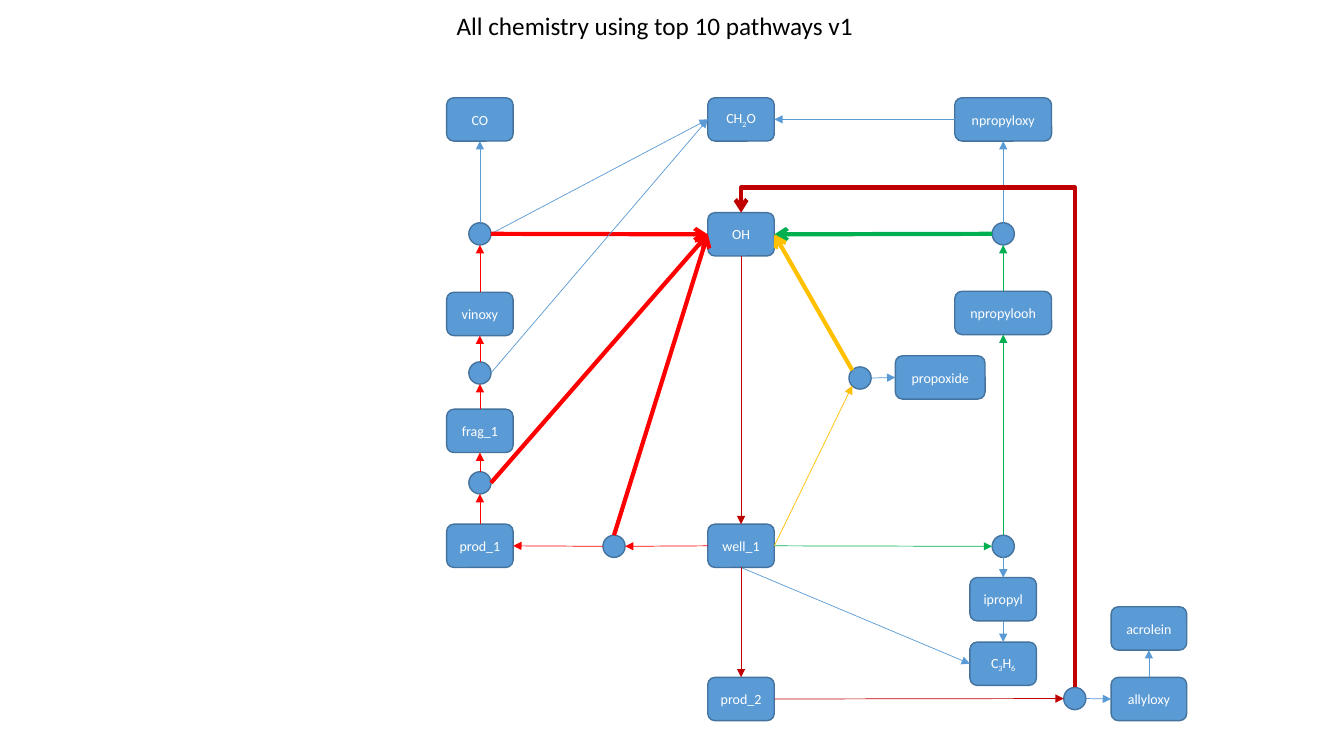
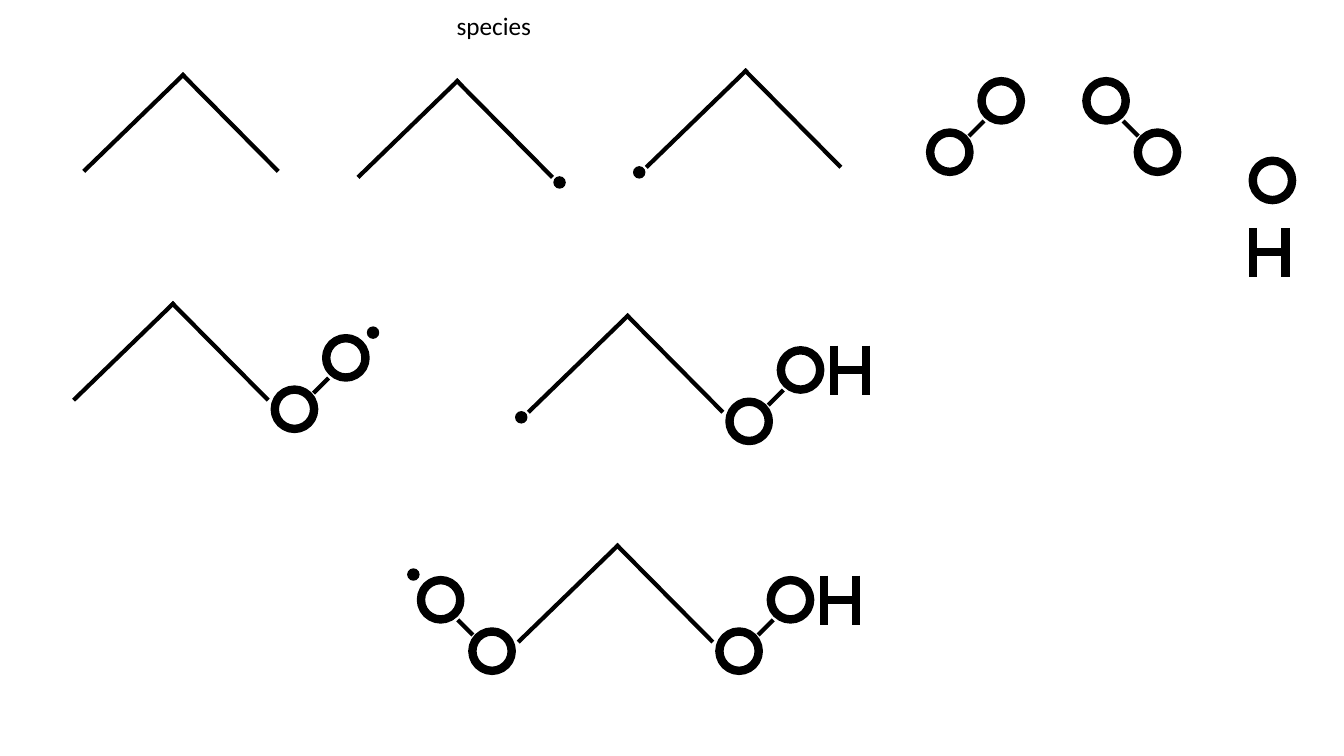
from lxml.etree import SubElement
from pptx import Presentation
from pptx.dml.color import RGBColor
from pptx.enum.shapes import MSO_CONNECTOR as LINK, MSO_SHAPE as SHAPE
from pptx.enum.text import MSO_ANCHOR, MSO_AUTO_SIZE, PP_ALIGN
from pptx.oxml.ns import qn
from pptx.util import Inches, Pt

BLUE, EDGE, WHITE, BLACK = "5B9BD5", "43739E", "FFFFFF", "000000"
RED, DARK_RED, GREEN, GOLD = "FF0000", "C00000", "00B050", "FFC000"
THIN, BOLD = 0.5, 3
BOX_HEIGHT, JUNCTION = 0.43, 0.22
OXYGEN, RADICAL = 0.39, 0.11

TITLE_FRAME = {"word_wrap": False, "auto_size": MSO_AUTO_SIZE.SHAPE_TO_FIT_TEXT}
LABEL_FRAME = {"word_wrap": True, "vertical_anchor": MSO_ANCHOR.MIDDLE,
               "margin_left": 0, "margin_right": 0}
TITLE_FONT = {"name": "Calibri", "size": Pt(18)}
LABEL_FONT = {"name": "Calibri", "size": Pt(10)}

# Side: x and y share of the shape, connection site on a box and on a junction
SIDES = {
    "top": (0.5, 0, 0, 0), "left": (0, 0.5, 1, 2),
    "bottom": (0.5, 1, 2, 4), "right": (1, 0.5, 3, 6),
    "upper left": (0.15, 0.15, None, 1), "lower left": (0.15, 0.85, None, 3),
}

# Species: left, top, width, label (subscripts between tildes)
SPECIES = {
    "prod_1": (4.43, 5.2, 0.66, "prod_1"),
    "frag_1": (4.43, 4.06, 0.66, "frag_1"),
    "vinoxy": (4.43, 2.9, 0.66, "vinoxy"),
    "CO": (4.43, 0.97, 0.66, "CO"),
    "CH2O": (7.02, 0.97, 0.66, "CH~2~O"),
    "OH": (7.02, 2.11, 0.66, "OH"),
    "well_1": (7.02, 5.2, 0.66, "well_1"),
    "prod_2": (7.02, 6.72, 0.66, "prod_2"),
    "ipropyl": (9.62, 5.73, 0.66, "ipropyl"),
    "C3H6": (9.62, 6.37, 0.66, "C~3~H~6~"),
    "propoxide": (8.88, 3.53, 0.89, "propoxide"),
    "npropylooh": (9.47, 2.89, 0.96, "npropylooh"),
    "npropyloxy": (9.47, 0.97, 0.96, "npropyloxy"),
    "allyloxy": (11.02, 6.72, 0.75, "allyloxy"),
    "acrolein": (11.02, 6.02, 0.75, "acrolein"),
}

JUNCTIONS = {
    "vinoxy split": (4.65, 2.21), "frag_1 split": (4.65, 3.59),
    "prod_1 split": (4.65, 4.68), "well_1 split": (5.98, 5.31),
    "propyl split": (9.84, 5.31), "propoxide split": (8.42, 3.64),
    "prod_2 split": (10.55, 6.82), "npropylooh split": (9.84, 2.21),
}

REACTIONS = [
    ("OH", "bottom", "well_1", "top", DARK_RED, THIN),
    ("well_1", "bottom", "C3H6", "left", BLUE, THIN),
    ("ipropyl", "bottom", "C3H6", "top", BLUE, THIN),
    ("vinoxy split", "right", "CH2O", "left", BLUE, THIN),
    ("vinoxy split", "top", "CO", "bottom", BLUE, THIN),
    ("vinoxy", "top", "vinoxy split", "bottom", RED, THIN),
    ("vinoxy split", "right", "OH", "left", RED, BOLD),
    ("frag_1", "top", "frag_1 split", "bottom", RED, THIN),
    ("frag_1 split", "top", "vinoxy", "bottom", RED, THIN),
    ("frag_1 split", "right", "CH2O", "left", BLUE, THIN),
    ("prod_1", "top", "prod_1 split", "bottom", RED, THIN),
    ("prod_1 split", "top", "frag_1", "bottom", RED, THIN),
    ("well_1", "left", "well_1 split", "right", RED, THIN),
    ("well_1 split", "left", "prod_1", "right", RED, THIN),
    ("well_1", "right", "propyl split", "left", GREEN, THIN),
    ("propyl split", "top", "npropylooh", "bottom", GREEN, THIN),
    ("propyl split", "bottom", "ipropyl", "top", BLUE, THIN),
    ("well_1", "right", "propoxide split", "lower left", GOLD, THIN),
    ("propoxide split", "right", "propoxide", "left", BLUE, THIN),
    ("well_1", "bottom", "prod_2", "top", DARK_RED, THIN),
    ("npropyloxy", "left", "CH2O", "right", BLUE, THIN),
    ("npropylooh", "top", "npropylooh split", "bottom", GREEN, THIN),
    ("npropylooh split", "top", "npropyloxy", "bottom", BLUE, THIN),
    ("npropylooh split", "left", "OH", "right", GREEN, BOLD),
    ("well_1 split", "top", "OH", "left", RED, BOLD),
    ("prod_1 split", "right", "OH", "left", RED, BOLD),
    ("prod_2", "right", "prod_2 split", "left", DARK_RED, THIN),
    ("prod_2 split", "right", "allyloxy", "left", BLUE, THIN),
    ("allyloxy", "top", "acrolein", "bottom", BLUE, THIN),
    ("propoxide split", "upper left", "OH", "right", GOLD, BOLD),
]


def rgb(color):
    """Turn a hex string into a colour."""
    return RGBColor.from_string(color)


def apply(target, values):
    """Set each attribute of target from a dict."""
    for key, value in values.items():
        setattr(target, key, value)


def style_line(line, color, width):
    """Give a line its colour and its width in points."""
    line.color.rgb = rgb(color)
    line.width = Pt(width)


def add_run(paragraph, text, font, color):
    """Add a formatted run and return it."""
    run = paragraph.add_run()
    run.text = text
    apply(run.font, font)
    run.font.color.rgb = rgb(color)
    return run


def add_title(slide, text, width):
    """Add the heading at the top of a slide."""
    title = slide.shapes.add_textbox(Inches(4.43), Inches(0.05), Inches(width), Inches(0.4))
    apply(title.text_frame, TITLE_FRAME)
    add_run(title.text_frame.paragraphs[0], text, TITLE_FONT, BLACK)


def add_outline(shapes, preset, box, fill, edge, width):
    """Add a filled preset shape; box is left, top, width, height in inches."""
    outline = shapes.add_shape(preset, *map(Inches, box))
    outline.shadow.inherit = False
    outline.fill.solid()
    outline.fill.fore_color.rgb = rgb(fill)
    style_line(outline.line, edge, width)
    return outline


def add_species(slide, left, top, width, label):
    """Add a labelled box for one species."""
    box = add_outline(slide.shapes, SHAPE.ROUNDED_RECTANGLE,
                      (left, top, width, BOX_HEIGHT), BLUE, EDGE, 1)
    apply(box.text_frame, LABEL_FRAME)
    paragraph = box.text_frame.paragraphs[0]
    paragraph.alignment = PP_ALIGN.CENTER
    for index, part in enumerate(label.split("~")):
        if part:
            run = add_run(paragraph, part, LABEL_FONT, WHITE)
            if index % 2:
                run.font._element.set("baseline", "-25000")
    return box


def add_junction(slide, left, top):
    """Add the small circle where a pathway splits."""
    return add_outline(slide.shapes, SHAPE.OVAL,
                       (left, top, JUNCTION, JUNCTION), BLUE, EDGE, 1)


def add_link(shapes, start, end, color, width, kind=LINK.STRAIGHT):
    """Add a connector without shadow between two points."""
    link = shapes.add_connector(kind, *start, *end)
    style_line(link.line, color, width)
    SubElement(link._element.spPr, qn("a:effectLst"))
    return link


def locate(shape, side):
    """Return the point and the connection site on one side of a shape."""
    across, down, box_site, junction_site = SIDES[side]
    point = (int(shape.left + across * shape.width), int(shape.top + down * shape.height))
    is_box = shape.auto_shape_type == SHAPE.ROUNDED_RECTANGLE
    return point, box_site if is_box else junction_site


def finish_arrow(link, head, ends):
    """Add the arrowhead and attach both ends to their shapes."""
    SubElement(link.line._get_or_add_ln(), qn("a:tailEnd"), type=head)
    holder = link._element.nvCxnSpPr.cNvCxnSpPr
    for tag, (shape, site) in zip(("a:stCxn", "a:endCxn"), ends):
        SubElement(holder, qn(tag), id=str(shape.shape_id), idx=str(site))


def add_reaction(slide, source, source_side, product, product_side, color, width):
    """Add a straight arrow from one shape to another."""
    start, start_site = locate(source, source_side)
    end, end_site = locate(product, product_side)
    link = add_link(slide.shapes, start, end, color, width)
    finish_arrow(link, "arrow" if width == BOLD else "triangle",
                 [(source, start_site), (product, end_site)])


def add_return_path(slide, source, product):
    """Add the bent arrow that rises from source and drops onto product."""
    (x1, y1), start_site = locate(source, "top")
    (x2, y2), end_site = locate(product, "top")
    rise, run = y1 - y2, x1 - x2
    left, top = (x1 + x2 - rise) // 2, (y1 + y2 - run) // 2
    link = add_link(slide.shapes, (left, top + run), (left + rise, top),
                    DARK_RED, BOLD, LINK.ELBOW)
    properties = link._element.spPr
    properties.find(qn("a:xfrm")).set("rot", str(270 * 60000))
    adjustments = properties.find(qn("a:prstGeom")).find(qn("a:avLst"))
    SubElement(adjustments, qn("a:gd"), name="adj1", fmla="val 105300")
    finish_arrow(link, "arrow", [(source, start_site), (product, end_site)])


def add_bond(shapes, x1, y1, x2, y2, width=3):
    """Add a black stroke between two points in inches."""
    add_link(shapes, (Inches(x1), Inches(y1)), (Inches(x2), Inches(y2)), BLACK, width)


def add_atom(shapes, x, y, size, fill, width):
    """Add a circle centred on a point."""
    add_outline(shapes, SHAPE.OVAL, (x - size / 2, y - size / 2, size, size),
                fill, BLACK, width)


def add_oxygen(shapes, x, y):
    """Add the ring of an oxygen atom."""
    add_atom(shapes, x, y, OXYGEN, WHITE, 6)


def add_radical(shapes, x, y):
    """Add the dot of an unpaired electron."""
    add_atom(shapes, x, y, RADICAL, BLACK, 1)


def add_hydrogen(shapes, x, y):
    """Add a letter H from three strokes."""
    for stem in (x, x + 0.32):
        add_bond(shapes, stem, y, stem, y + 0.49, 6)
    add_bond(shapes, x, y + 0.24, x + 0.32, y + 0.24, 6)


def add_chain(shapes, x, y):
    """Add the three-carbon roof; x is its left end, y its apex."""
    add_bond(shapes, x, y + 0.97, x + 1, y)
    add_bond(shapes, x + 1.93, y + 0.97, x + 0.97, y)


def add_peroxy(shapes, x, y, direction=1):
    """Add two bonded oxygens rising from a centre to the right (1) or left (-1)."""
    add_oxygen(shapes, x, y)
    add_oxygen(shapes, x + 0.51 * direction, y - 0.51)
    add_bond(shapes, x + 0.19 * direction, y - 0.16, x + 0.34 * direction, y - 0.31)


def add_molecule(slide, x, y, right=None, left=None):
    """Add a grouped chain with a radical, peroxy or hydroperoxy at its ends."""
    shapes = slide.shapes.add_group_shape().shapes
    add_chain(shapes, x, y)
    for end, direction, carbon in ((right, 1, x + 1.93), (left, -1, x)):
        oxygen_x, oxygen_y = carbon + 0.26 * direction, y + 1.06
        if end == "radical":
            add_radical(shapes, carbon + 0.07 * direction, y + 1.02)
        elif end:
            add_peroxy(shapes, oxygen_x, oxygen_y, direction)
        if end == "peroxy":
            add_radical(shapes, oxygen_x + 0.78 * direction, oxygen_y - 0.76)
        elif end == "hydroperoxy":
            add_hydrogen(shapes, oxygen_x + 0.84, oxygen_y - 0.75)


def build_pathways(slide):
    """Draw the reaction network."""
    add_title(slide, "All chemistry using top 10 pathways v1", 4.18)
    nodes = {name: add_species(slide, *values) for name, values in SPECIES.items()}
    nodes.update({name: add_junction(slide, *at) for name, at in JUNCTIONS.items()})
    for source, source_side, product, product_side, color, width in REACTIONS:
        add_reaction(slide, nodes[source], source_side, nodes[product],
                     product_side, color, width)
    add_return_path(slide, nodes["prod_2 split"], nodes["OH"])


def build_species(slide):
    """Draw the skeletal formulas."""
    add_title(slide, "species", 0.95)
    add_molecule(slide, 0.83, 0.73)
    add_molecule(slide, 3.55, 0.79, right="radical")
    add_molecule(slide, 6.41, 0.69, left="radical")
    add_molecule(slide, 0.73, 3, right="peroxy")
    add_molecule(slide, 5.24, 3.12, right="hydroperoxy", left="radical")
    add_molecule(slide, 5.14, 5.4, right="hydroperoxy", left="peroxy")
    for x, direction in ((9.42, 1), (11.48, -1)):
        add_peroxy(slide.shapes.add_group_shape().shapes, x, 1.51, direction)
    add_oxygen(slide.shapes, 12.62, 1.79)
    add_hydrogen(slide.shapes.add_group_shape().shapes, 12.43, 2.26)


def main():
    """Build both slides and save them."""
    deck = Presentation()
    deck.slide_width, deck.slide_height = Inches(13.33), Inches(7.5)
    for build in (build_pathways, build_species):
        build(deck.slides.add_slide(deck.slide_layouts[6]))
    deck.save("out.pptx")


main()
